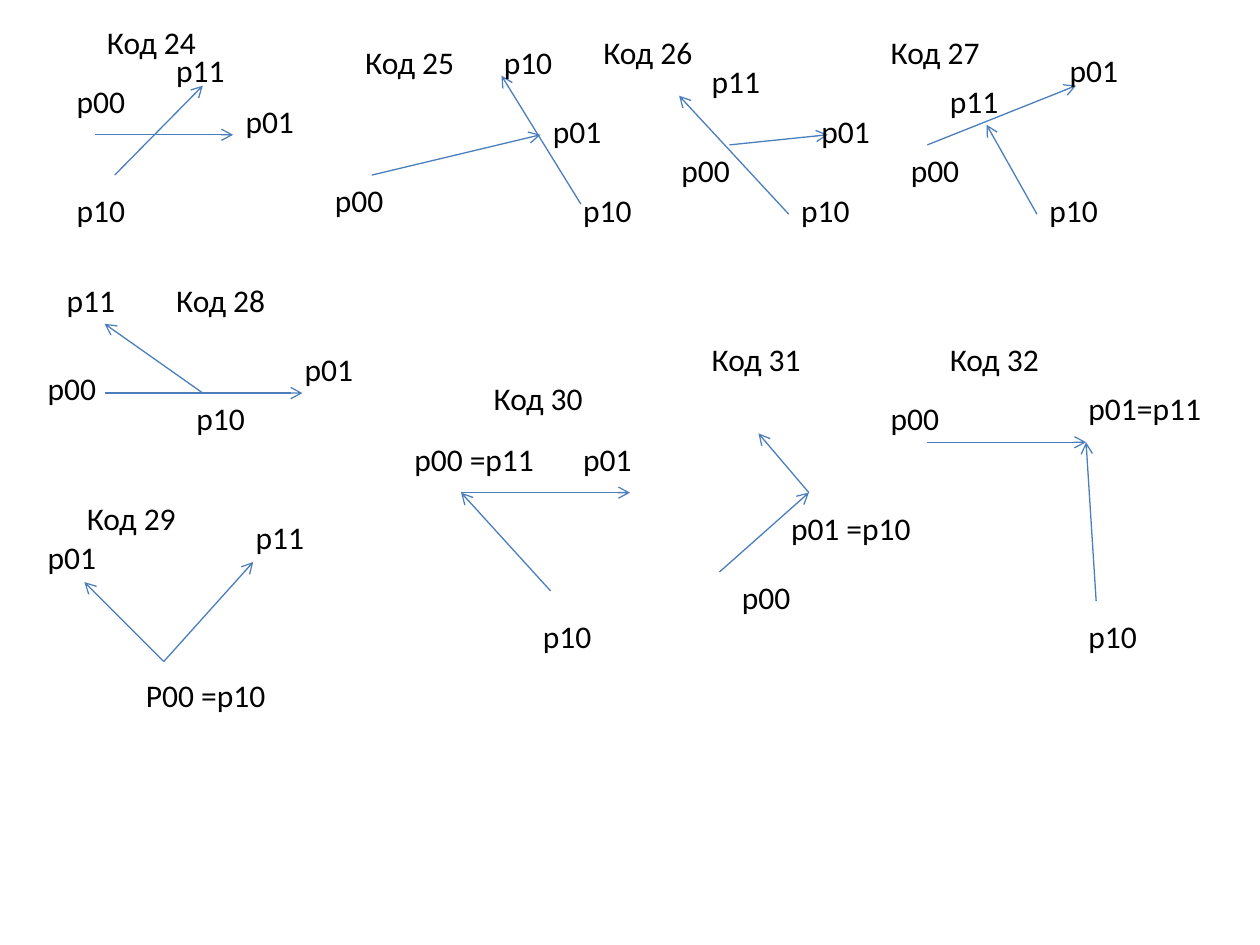
"""Build a slide of nine vector-pair diagrams, codes 24 to 32."""
from lxml.etree import SubElement
from pptx import Presentation
from pptx.dml.color import RGBColor
from pptx.enum.shapes import MSO_CONNECTOR
from pptx.enum.text import MSO_AUTO_SIZE
from pptx.oxml.ns import qn
from pptx.util import Inches, Pt

THEME = {
    "arrow": RGBColor(0x4B, 0x7E, 0xBC),
    "arrow_width": Pt(0.75),
    "text": RGBColor(0, 0, 0),
    "font": {"name": "Calibri", "size": Pt(18)},
    "frame": {"word_wrap": False, "auto_size": MSO_AUTO_SIZE.SHAPE_TO_FIT_TEXT},
}
LABEL_HEIGHT = 0.4
WIDTH_BY_LENGTH = {3: 0.59, 6: 0.92, 7: 1.11, 8: 1.16}

DIAGRAMS = [
    {"code": (24, 0.75, 0.13),
     "arrows": [(0.75, 1.07, 1.85, 1.07), (0.91, 1.39, 1.61, 0.68)],
     "points": [("p11", 1.3, 0.36), ("p10", 0.51, 1.47), ("p00", 0.51, 0.6), ("p01", 1.85, 0.76)]},
    {"code": (25, 2.8, 0.29),
     "arrows": [(2.95, 1.39, 4.29, 1.07), (4.61, 1.62, 3.98, 0.6)],
     "points": [("p10", 4.53, 1.47), ("p10", 3.9, 0.29), ("p01", 4.29, 0.84), ("p00", 2.56, 1.39)]},
    {"code": (26, 4.69, 0.21),
     "arrows": [(6.26, 1.7, 5.39, 0.76), (5.79, 1.15, 6.57, 1.07)],
     "points": [("p01", 6.42, 0.84), ("p00", 5.31, 1.15), ("p11", 5.55, 0.44), ("p10", 6.26, 1.47)]},
    {"code": (27, 6.97, 0.21),
     "arrows": [(7.36, 1.15, 8.54, 0.68), (8.23, 1.7, 7.83, 0.99)],
     "points": [("p01", 8.39, 0.36), ("p00", 7.13, 1.15), ("p11", 7.44, 0.6), ("p10", 8.23, 1.47)]},
    {"code": (28, 1.3, 2.18),
     "arrows": [(0.83, 3.12, 2.4, 3.12), (1.61, 3.12, 0.83, 2.57)],
     "points": [("p10", 1.46, 3.12), ("p11", 0.43, 2.18), ("p01", 2.32, 2.73), ("p00", 0.28, 2.88)]},
    {"code": (29, 0.59, 3.91),
     "arrows": [(1.3, 5.25, 0.67, 4.62), (1.3, 5.25, 2.01, 4.46)],
     "points": [("p01", 0.28, 4.22), ("P00 =p10", 1.06, 5.32), ("p11", 1.93, 4.06)]},
    {"code": (30, 3.82, 2.96),
     "arrows": [(3.66, 3.91, 5, 3.91), (4.37, 4.69, 3.66, 3.91)],
     "points": [("p10", 4.21, 4.85), ("p00 =p11", 3.19, 3.44), ("p01", 4.53, 3.44)]},
    {"code": (31, 5.55, 2.65),
     "arrows": [(6.42, 3.91, 6.02, 3.44), (5.71, 4.54, 6.42, 3.91)],
     "points": [("p01 =p10", 6.18, 3.99), ("p00", 5.79, 4.54)]},
    {"code": (32, 7.44, 2.65),
     "arrows": [(7.36, 3.51, 8.62, 3.51), (8.7, 4.77, 8.62, 3.51)],
     "points": [("p00", 6.97, 3.12), ("p10", 8.54, 4.85), ("p01=p11", 8.54, 3.04)]},
]


def add_arrow(slide, *ends):
    connector = slide.shapes.add_connector(MSO_CONNECTOR.STRAIGHT, *map(Inches, ends))
    connector.line.color.rgb = THEME["arrow"]
    connector.line.width = THEME["arrow_width"]
    properties = connector._element.spPr
    SubElement(properties.find(qn("a:ln")), qn("a:tailEnd"), type="arrow")
    SubElement(properties, qn("a:effectLst"))


def add_label(slide, text, left, top):
    box = (left, top, WIDTH_BY_LENGTH[len(text)], LABEL_HEIGHT)
    frame = slide.shapes.add_textbox(*map(Inches, box)).text_frame
    for name, value in THEME["frame"].items():
        setattr(frame, name, value)
    run = frame.paragraphs[0].add_run()
    run.text = text
    for name, value in THEME["font"].items():
        setattr(run.font, name, value)
    run.font.color.rgb = THEME["text"]


presentation = Presentation()
presentation.slide_width = Inches(10)
presentation.slide_height = Inches(7.5)
slide = presentation.slides.add_slide(presentation.slide_layouts.get_by_name("Blank"))

for diagram in DIAGRAMS:
    for arrow in diagram["arrows"]:
        add_arrow(slide, *arrow)
    number, left, top = diagram["code"]
    add_label(slide, f"Код {number}", left, top)
    for point in diagram["points"]:
        add_label(slide, *point)

presentation.save("out.pptx")
